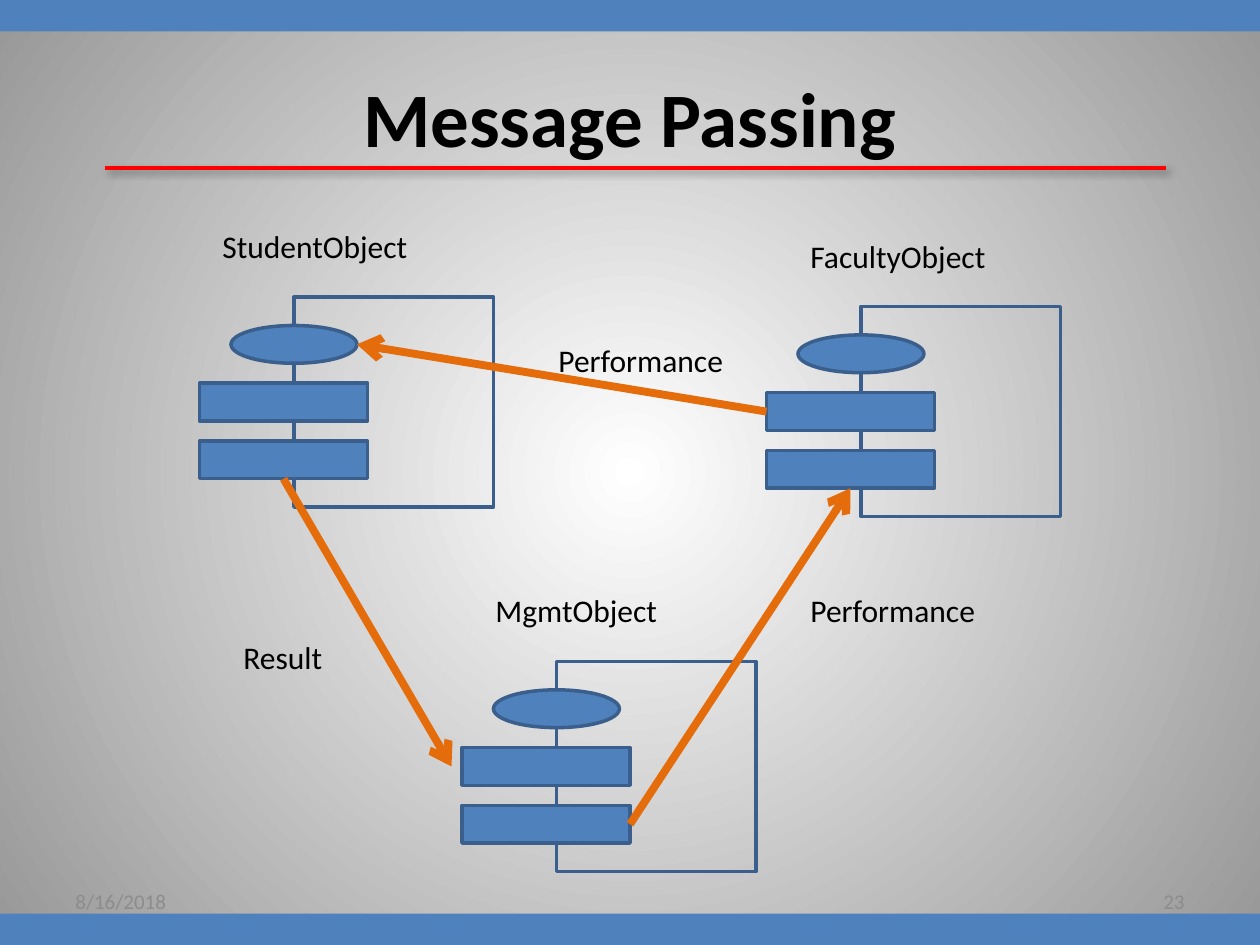
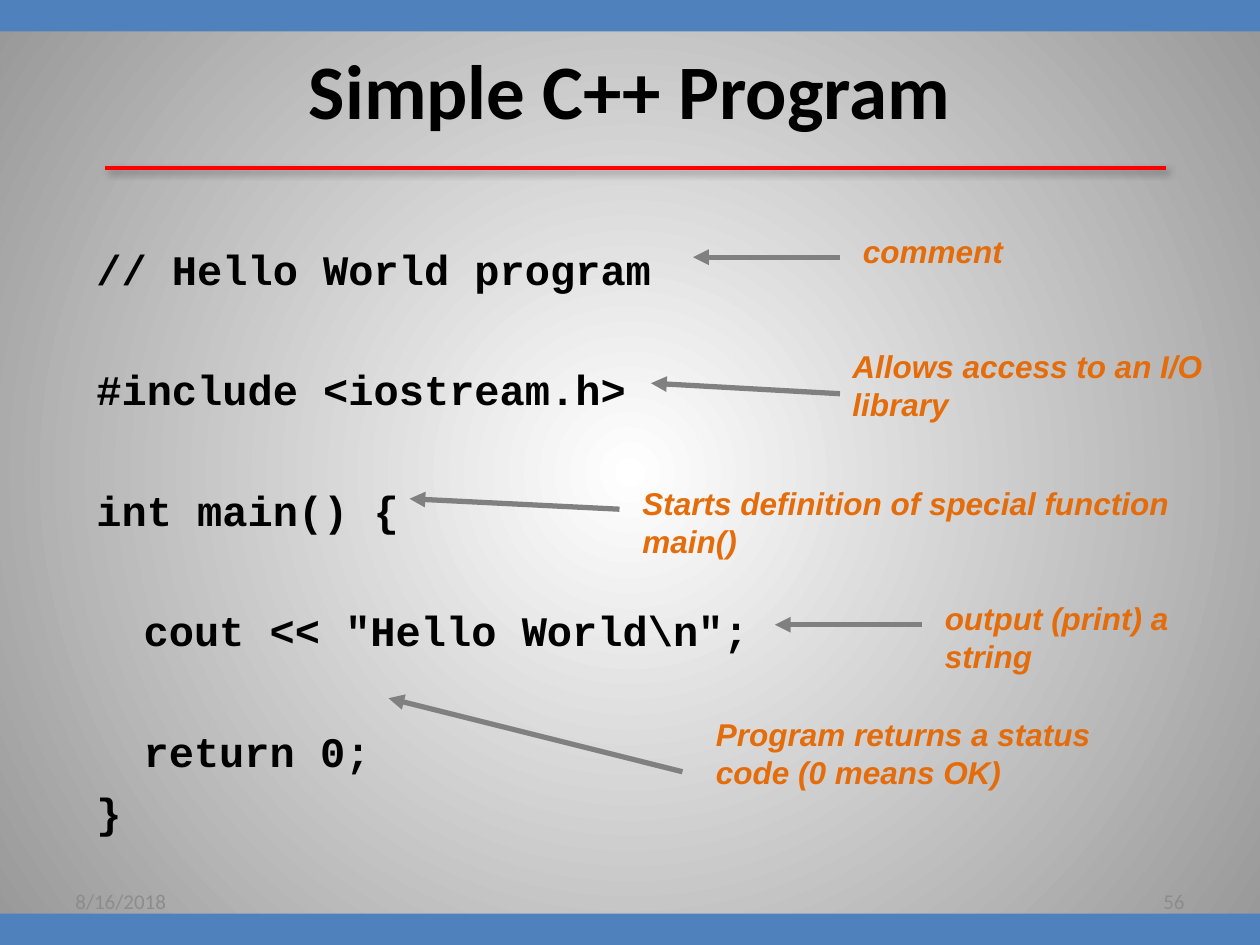
import pptx
import pptx.util
import pptx.dml.color
import pptx.enum.shapes
import pptx.enum.text
import pptx.oxml
import pptx.oxml.ns

PX = 7620  # EMU, 120 px to the inch
COLORS = {
    "centre": "FFFFFF", "edge": "979797", "blue": "4F81BD", "outline": "3A5F8C",
    "orange": "E46C0A", "red": "FF0000", "grey": "808080", "footer": "8C8C8C",
    "black": "000000",
}
SHAPES = pptx.enum.shapes.MSO_SHAPE
ALIGN = pptx.enum.text.PP_ALIGN
ANCHOR = pptx.enum.text.MSO_ANCHOR
Pt = pptx.util.Pt

# Each style: colour, vertical anchor, font values
STYLES = {
    "title": ("black", ANCHOR.MIDDLE, {"name": "Calibri", "size": Pt(44), "bold": True}),
    "label": ("black", ANCHOR.TOP, {"name": "Calibri", "size": Pt(18)}),
    "code": ("black", ANCHOR.TOP, {"name": "Courier New", "size": Pt(24), "bold": True}),
    "note": ("orange", ANCHOR.TOP,
             {"name": "Arial", "size": Pt(18), "bold": True, "italic": True}),
    "footer": ("footer", ANCHOR.MIDDLE, {"name": "Calibri", "size": Pt(12)}),
}
HANGING = 45
CODE_GAP, CODE_NEXT = 40, 6.4  # points before a new statement, before the next line

OBJECTS = {"StudentObject": (280, 283), "FacultyObject": (820, 292), "MgmtObject": (530, 630)}
LABELS = [
    ("FacultyObject", 760, 220), ("StudentObject", 200, 210), ("MgmtObject", 460, 557),
    ("Performance", 760, 557), ("Result", 220, 602), ("Performance", 520, 319),
]
CODE = [
    ("// Hello World program", 0), ("#include <iostream.h>", CODE_GAP),
    ("int main() {", CODE_GAP), ('\tcout << "Hello World\\n";', CODE_GAP),
    ("\treturn 0;", CODE_GAP), ("}", CODE_NEXT),
]
# Note, its box, arrow start, arrow tip
NOTES = [
    ("comment", (810, 215, 312, 48), (800, 245), (660, 245)),
    ("Allows access to an I/O library", (800, 325, 400, 85), (800, 375), (620, 365)),
    ("output (print) a string", (888, 565, 312, 85), (878, 595), (738, 595)),
    ("Program returns a status code (0 means OK)", (670, 675, 450, 85),
     (650, 735), (370, 665)),
    ("Starts definition of special function main()", (600, 455, 550, 85),
     (590, 485), (390, 475)),
]


def emu(lengths):
    return [length * PX for length in lengths]


def rgb(color):
    return pptx.dml.color.RGBColor.from_string(COLORS[color])


def xml(markup):
    """Build one element, adding the drawing namespace to its tag."""
    tag, rest = markup.split(" ", 1)
    return pptx.oxml.parse_xml(f"{tag} {pptx.oxml.ns.nsdecls('a')} {rest}")


class Deck:
    """Holds the shared style and the current slide."""

    def __init__(self):
        self.show = pptx.Presentation()
        self.show.slide_width, self.show.slide_height = emu((1200, 900))
        self.slide = None

    def start(self, title, box):
        self.slide = self.show.slides.add_slide(self.show.slide_layouts[6])
        fill = self.slide.background.fill
        fill.gradient()
        for stop, color in zip(fill.gradient_stops, ("centre", "edge")):
            stop.color.rgb = rgb(color)
        gradient = self.slide.element.find(".//" + pptx.oxml.ns.qn("a:gradFill"))
        linear = gradient.find(pptx.oxml.ns.qn("a:lin"))
        gradient.replace(linear, xml(
            '<a:path path="circle"><a:fillToRect l="50000" t="50000" r="50000" b="50000"/>'
            "</a:path>"))
        self.text(title, box, "title", ALIGN.CENTER)

    def finish(self, number):
        """Draw the bands, title rule and footers over the content."""
        for top in (0, 870):
            self.shape(SHAPES.RECTANGLE, (0, top, 1200, 30), "blue")
        self.line((100, 160), (1110, 160), "red", 2, shadow=True)
        self.text("8/16/2018", (60, 834, 280, 48), "footer")
        self.text(number, (860, 834, 280, 48), "footer", ALIGN.RIGHT)

    def shape(self, preset, box, fill=None, outline=None):
        shape = self.slide.shapes.add_shape(preset, *emu(box))
        shape.shadow.inherit = False
        if fill:
            shape.fill.solid()
            shape.fill.fore_color.rgb = rgb(fill)
        else:
            shape.fill.background()
        if outline:
            shape.line.color.rgb = rgb(outline)
            shape.line.width = Pt(2)
        else:
            shape.line.fill.background()
        return shape

    def line(self, start, end, color, width, head=None, shadow=False):
        line = self.slide.shapes.add_connector(
            pptx.enum.shapes.MSO_CONNECTOR.STRAIGHT, *emu(start + end))
        line.line.color.rgb = rgb(color)
        line.line.width = Pt(width)
        if head:
            line.get_or_add_ln().append(xml(f'<a:tailEnd type="{head}"/>'))
        effect = (
            f'<a:outerShdw blurRad="{Pt(4)}" dist="{Pt(3)}" dir="2700000">'
            f'<a:srgbClr val="{COLORS["black"]}"><a:alpha val="40000"/></a:srgbClr>'
            "</a:outerShdw>") if shadow else ""
        line.element.spPr.append(xml(f"<a:effectLst >{effect}</a:effectLst>"))
        return line

    def add_words(self, paragraph, words, style, align=ALIGN.LEFT):
        color, _, font_values = STYLES[style]
        paragraph.alignment = align
        run = paragraph.add_run()
        run.text = words
        run.font.color.rgb = rgb(color)
        for name, value in font_values.items():
            setattr(run.font, name, value)

    def frame(self, box, style):
        frame = self.slide.shapes.add_textbox(*emu(box)).text_frame
        frame.word_wrap = True
        frame.vertical_anchor = STYLES[style][1]
        return frame

    def text(self, words, box, style, align=ALIGN.LEFT):
        self.add_words(self.frame(box, style).paragraphs[0], words, style, align)

    def code(self, lines, box):
        frame = self.frame(box, "code")
        for index, (words, gap) in enumerate(lines):
            paragraph = frame.add_paragraph() if index else frame.paragraphs[0]
            properties = paragraph._p.get_or_add_pPr()
            properties.set("marL", str(HANGING * PX))
            properties.set("indent", str(-HANGING * PX))
            paragraph.space_before = Pt(gap)
            self.add_words(paragraph, words, "code")

    def object_symbol(self, left, top):
        """Draw an object's frame, state ellipse and two method bars; return the last three."""
        self.shape(SHAPES.RECTANGLE, (left, top, 190, 200), outline="outline")
        parts = [(SHAPES.OVAL, 60, 120)] + [(SHAPES.RECTANGLE, 90, 160)] * 2
        return [
            self.shape(preset, (left - offset, top + 27 + 55 * row, width, 36),
                       "blue", "outline")
            for row, (preset, offset, width) in enumerate(parts)
        ]


def message_passing(deck):
    deck.start("Message Passing", (60, 36, 1080, 150))
    symbols = {name: deck.object_symbol(*corner) for name, corner in OBJECTS.items()}
    _, _, student_result = symbols["StudentObject"]
    _, faculty_request, faculty_reply = symbols["FacultyObject"]
    _, _, mgmt_request = symbols["MgmtObject"]

    to_student, to_mgmt, to_faculty = [
        deck.line(start, end, "orange", 4.5, "arrow")
        for start, end in (((730, 392), (340, 328)), ((270, 456), (430, 730)),
                           ((600, 785), (810, 465)))
    ]
    to_student.begin_connect(faculty_request, 1)
    to_mgmt.begin_connect(student_result, 2)
    to_faculty.begin_connect(mgmt_request, 3)
    to_faculty.end_connect(faculty_reply, 2)

    for label, left, top in LABELS:
        deck.text(label, (left, top, 220, 44), "label")
    deck.finish("23")


def simple_program(deck):
    deck.start("Simple C++ Program", (90, 30, 1020, 110))
    deck.code(CODE, (80, 226, 1020, 529))
    for note, box, start, tip in NOTES:
        deck.text(note, box, "note")
        deck.line(start, tip, "grey", 3, "triangle")
    deck.finish("56")


def main():
    deck = Deck()
    message_passing(deck)
    simple_program(deck)
    deck.show.save("out.pptx")


if __name__ == "__main__":
    main()
